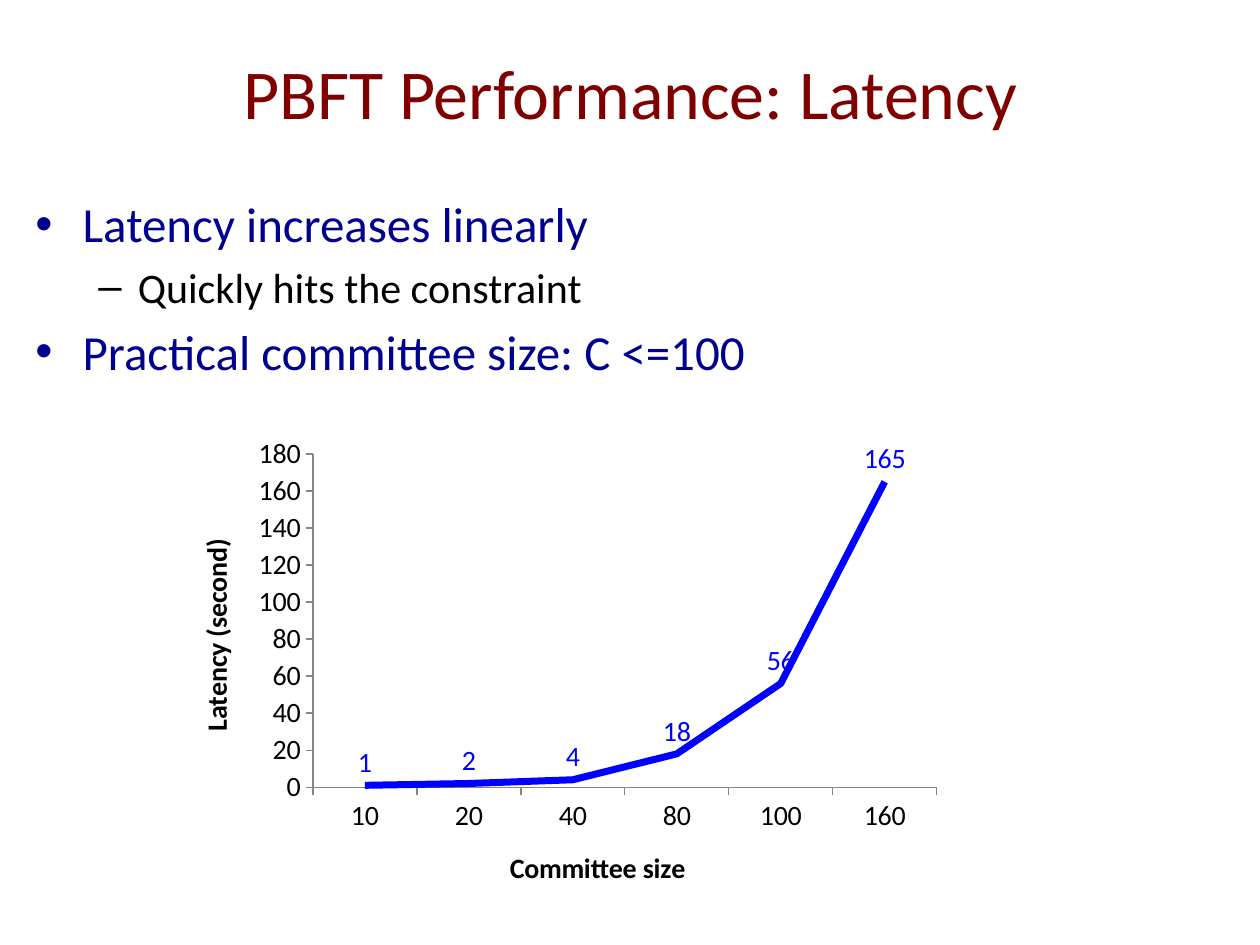
from dataclasses import dataclass

from lxml import etree
from pptx import Presentation, util as u
from pptx.chart import data as chart_data
from pptx.dml.color import RGBColor
from pptx.enum import chart as ce, text as te

FONT = "Calibri"
MAROON, NAVY, BLACK, BLUE, GREY = "800000", "000090", "000000", "0000FF", "868686"


@dataclass
class Box:
    """Position and size in centimetres."""
    left: float
    top: float
    width: float
    height: float

    def lengths(self):
        return [u.Cm(v) for v in (self.left, self.top, self.width, self.height)]


@dataclass
class Point:
    text: str
    level: int
    size: int
    color: str


POINTS = [
    Point("Latency increases linearly", 0, 28, NAVY),
    Point("Quickly hits the constraint", 1, 24, BLACK),
    Point("Practical committee size: C <=100", 0, 28, NAVY),
]
LATENCY = {"10": 1, "20": 2, "40": 4, "80": 18, "100": 56, "160": 165}


def style(font, size: int, color: str, bold: bool = False) -> None:
    font.name, font.size, font.bold = FONT, u.Pt(size), bold
    font.color.rgb = RGBColor.from_string(color)


def place(shape, box: Box) -> None:
    shape.left, shape.top, shape.width, shape.height = box.lengths()


def write(paragraph, point: Point) -> None:
    paragraph.text, paragraph.level = point.text, point.level
    style(paragraph.font, point.size, point.color)


def style_axis(axis, title: str) -> None:
    axis.has_major_gridlines = False
    axis.major_tick_mark = ce.XL_TICK_MARK.OUTSIDE
    axis.minor_tick_mark = ce.XL_TICK_MARK.NONE
    axis.format.line.color.rgb = RGBColor.from_string(GREY)
    axis.format.line.width = u.Pt(0.75)
    style(axis.tick_labels.font, 16, BLACK)
    heading = axis.axis_title.text_frame
    heading.text = title
    style(heading.paragraphs[0].font, 16, BLACK, bold=True)


def set_plot_area(chart, **fractions: float) -> None:
    """Fix the inner plot area as fractions of the chart's size."""
    plot_area = chart.plots[0]._element.getparent()
    ns = etree.QName(plot_area).namespace
    for old in plot_area.findall(f"{{{ns}}}layout"):
        plot_area.remove(old)
    layout = etree.Element(f"{{{ns}}}layout")
    manual = etree.SubElement(layout, f"{{{ns}}}manualLayout")
    settings = {"layoutTarget": "inner", "xMode": "edge", "yMode": "edge", **fractions}
    for tag, value in settings.items():
        etree.SubElement(manual, f"{{{ns}}}{tag}", val=str(value))
    plot_area.insert(0, layout)


def add_latency_chart(slide, box: Box) -> None:
    latency = chart_data.CategoryChartData()
    latency.categories = list(LATENCY)
    latency.add_series("Series 1", list(LATENCY.values()))
    chart = slide.shapes.add_chart(
        ce.XL_CHART_TYPE.LINE, *box.lengths(), latency).chart
    chart.has_legend = chart.has_title = False
    style(chart.font, 16, BLACK)
    set_plot_area(chart, x=0.18, y=0.06, w=0.8, h=0.68)

    style_axis(chart.category_axis, "Committee size")
    style_axis(chart.value_axis, "Latency (second)")
    chart.value_axis.minimum_scale = 0
    chart.value_axis.maximum_scale = 180
    chart.value_axis.major_unit = 20

    plot = chart.plots[0]
    plot.vary_by_categories = False
    curve = plot.series[0]
    curve.smooth = False
    curve.marker.style = ce.XL_MARKER_STYLE.NONE
    curve.format.line.color.rgb = RGBColor.from_string(BLUE)
    curve.format.line.width = u.Pt(4)
    labels = curve.data_labels
    labels.show_value = True
    labels.position = ce.XL_LABEL_POSITION.ABOVE
    style(labels.font, 16, BLUE)


def main() -> None:
    prs = Presentation()
    prs.slide_width, prs.slide_height = u.Cm(25.4), u.Cm(19.05)
    slide = prs.slides.add_slide(prs.slide_layouts[1])
    title, body = slide.placeholders

    # Title
    place(title, Box(0, 0.76, 25.4, 2.18))
    title.text_frame.vertical_anchor = te.MSO_ANCHOR.MIDDLE
    write(title.text_frame.paragraphs[0],
          Point("PBFT Performance: Latency", 0, 40, MAROON))
    title.text_frame.paragraphs[0].alignment = te.PP_ALIGN.CENTER

    # Bullet list
    place(body, Box(0.46, 3.78, 24.46, 13.23))
    frame = body.text_frame
    frame.auto_size = te.MSO_AUTO_SIZE.NONE
    for i, point in enumerate(POINTS):
        write(frame.add_paragraph() if i else frame.paragraphs[0], point)

    # Latency by committee size
    add_latency_chart(slide, Box(3.48, 8.56, 15.72, 9.88))
    prs.save("out.pptx")


if __name__ == "__main__":
    main()
